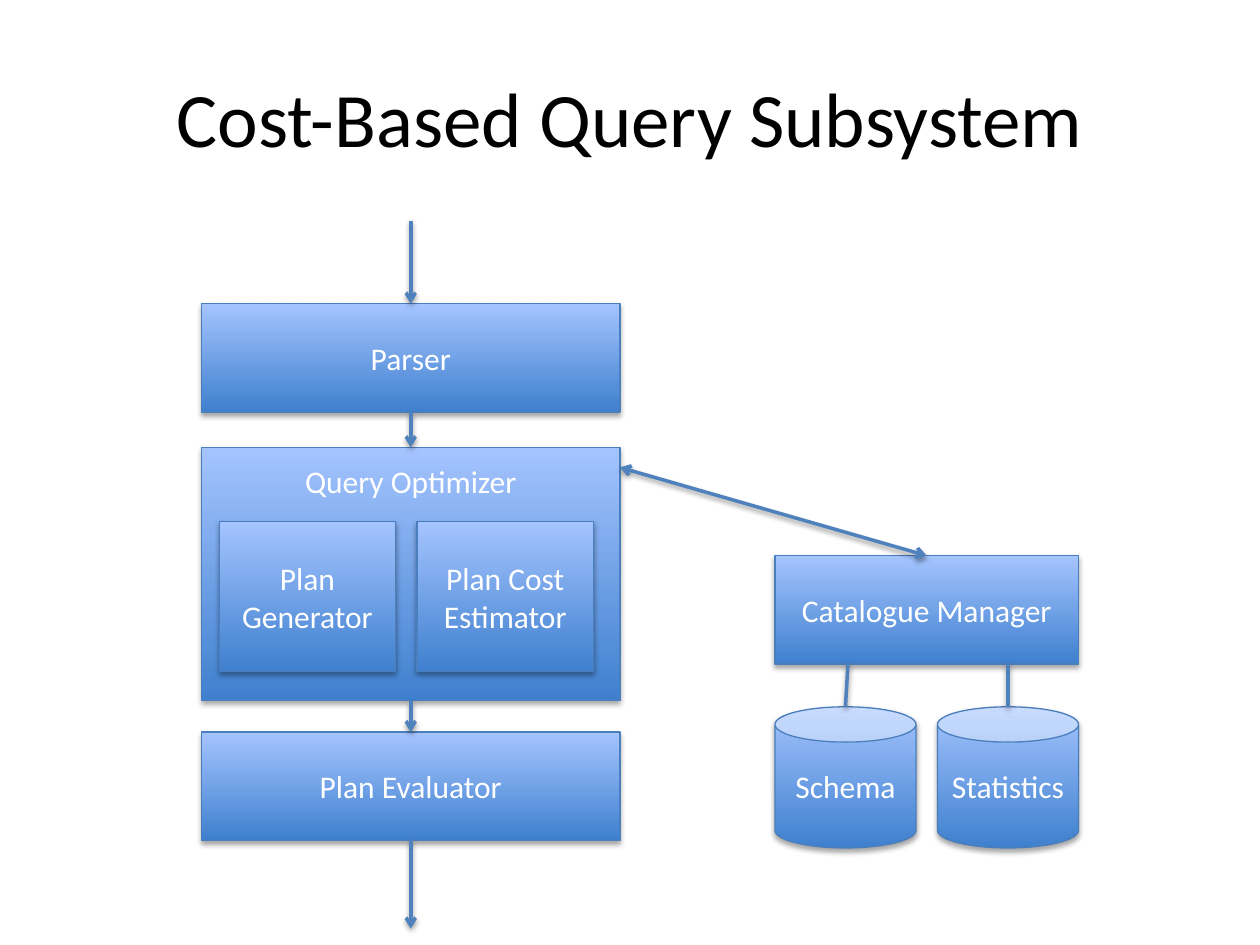
import pptx
import pptx.dml.color
import pptx.enum.shapes
import pptx.enum.text
import pptx.oxml
import pptx.oxml.ns
import pptx.util
from lxml import etree

Inches = pptx.util.Inches
Pt = pptx.util.Pt
MSO = pptx.enum.shapes.MSO_SHAPE
ANCHOR = pptx.enum.text.MSO_ANCHOR
TOP, BOTTOM = 0, 2

THEME = {
    "font": "Calibri",
    "title_size": 44,
    "label_size": 18,
    "title": "000000",
    "label": "FFFFFF",
    "gradient": ("3F80CE", "A4C4FF"),
    "outline": "4B7EBC",
    "arrow": "4F81BD",
    "shadow": "000000",
}

TITLE = "Cost-Based Query Subsystem"
FLOW = [("Parser", 2.41, 0.86), ("Query Optimizer", 3.55, 2.01), ("Plan Evaluator", 5.81, 0.86)]
PLANNERS = ["Plan Generator", "Plan Cost Estimator"]
STORES = ["Schema", "Statistics"]
CATALOGUE = "Catalogue Manager"

FLOW_LEFT, FLOW_WIDTH = 1.6, 3.32
FLOW_START, FLOW_END = 1.75, 7.37
PLANNER_LEFT, PLANNER_TOP, PLANNER_WIDTH, PLANNER_HEIGHT, PLANNER_STEP = 1.74, 4.14, 1.4, 1.19, 1.57
CAT_LEFT, CAT_TOP, CAT_WIDTH, CAT_HEIGHT = 6.15, 4.41, 2.41, 0.86
STORE_TOP, STORE_SIZE = 5.61, 1.12
STORE_STEP = CAT_WIDTH - STORE_SIZE
STORE_LINK_SHIFT = [0.02, 0]
OPTIMIZER_LINK = (4.92, 3.71)

TITLE_FRAME = {"word_wrap": True, "vertical_anchor": ANCHOR.MIDDLE}
LABEL_FRAME = {"word_wrap": True, "vertical_anchor": ANCHOR.MIDDLE}
HEADING_FRAME = {"vertical_anchor": ANCHOR.TOP, "margin_top": Inches(0.12)}


def rgb(value):
    return pptx.dml.color.RGBColor.from_string(value)


def apply(target, values):
    for name, value in values.items():
        setattr(target, name, value)


def add_shadow(s, alpha, distance):
    props = s._element.spPr
    for old in props.findall(pptx.oxml.ns.qn("a:effectLst")):
        props.remove(old)
    effects = etree.SubElement(props, pptx.oxml.ns.qn("a:effectLst"))
    outer = etree.SubElement(effects, pptx.oxml.ns.qn("a:outerShdw"), {
        "blurRad": str(Pt(3.1)), "dist": str(Pt(distance)),
        "dir": "5400000", "rotWithShape": "0"})
    color = etree.SubElement(outer, pptx.oxml.ns.qn("a:srgbClr"), val=THEME["shadow"])
    etree.SubElement(color, pptx.oxml.ns.qn("a:alpha"), val=str(alpha * 1000))


def write(s, text, size, color, frame):
    tf = s.text_frame
    apply(tf, frame)
    p = tf.paragraphs[0]
    p.alignment = pptx.enum.text.PP_ALIGN.CENTER
    r = p.add_run()
    r.text = text
    apply(r.font, {"name": THEME["font"], "size": Pt(size)})
    r.font.color.rgb = rgb(color)


def add_block(shapes, text, left, top, width, height, kind=MSO.RECTANGLE, frame=None):
    s = shapes.add_shape(kind, Inches(left), Inches(top), Inches(width), Inches(height))
    s.fill.gradient()
    s.fill.gradient_angle = 90
    for stop, color in zip(s.fill.gradient_stops, THEME["gradient"]):
        stop.color.rgb = rgb(color)
    s.line.color.rgb = rgb(THEME["outline"])
    s.line.width = Pt(0.75)
    add_shadow(s, 35, 1.8)
    write(s, text, THEME["label_size"], THEME["label"], LABEL_FRAME | (frame or {}))
    return s


def add_link(shapes, start, end, ends=("tailEnd",), begin_at=None, end_at=None):
    s = shapes.add_connector(pptx.enum.shapes.MSO_CONNECTOR.STRAIGHT,
                             *[Inches(v) for v in (*start, *end)])
    if begin_at:
        s.begin_connect(*begin_at)
    if end_at:
        s.end_connect(*end_at)
    s.line.color.rgb = rgb(THEME["arrow"])
    s.line.width = Pt(2)
    for name in ends:
        etree.SubElement(s.line._get_or_add_ln(), pptx.oxml.ns.qn("a:" + name), type="arrow")
    add_shadow(s, 38, 1.6)


def main():
    prs = pptx.Presentation()
    apply(prs, {"slide_width": Inches(10), "slide_height": Inches(7.5)})
    shapes = prs.slides.add_slide(prs.slide_layouts[6]).shapes

    title = shapes.add_textbox(Inches(0.5), Inches(0.3), Inches(9), Inches(1.25))
    write(title, TITLE, THEME["title_size"], THEME["title"], TITLE_FRAME)

    steps = []
    for text, top, height in FLOW:
        frame = HEADING_FRAME if text == "Query Optimizer" else None
        steps.append(add_block(shapes, text, FLOW_LEFT, top, FLOW_WIDTH, height, frame=frame))
    for i, text in enumerate(PLANNERS):
        add_block(shapes, text, PLANNER_LEFT + i * PLANNER_STEP, PLANNER_TOP,
                  PLANNER_WIDTH, PLANNER_HEIGHT)
    for i, text in enumerate(STORES):
        add_block(shapes, text, CAT_LEFT + i * STORE_STEP, STORE_TOP,
                  STORE_SIZE, STORE_SIZE, MSO.CAN)
    catalogue = add_block(shapes, CATALOGUE, CAT_LEFT, CAT_TOP, CAT_WIDTH, CAT_HEIGHT)

    middle = FLOW_LEFT + FLOW_WIDTH / 2
    starts = [FLOW_START] + [top + height for _, top, height in FLOW]
    stops = [top for _, top, _ in FLOW] + [FLOW_END]
    for start, stop, above, below in zip(starts, stops, [None] + steps, steps + [None]):
        add_link(shapes, (middle, start), (middle, stop),
                 begin_at=above and (above, BOTTOM), end_at=below and (below, TOP))

    add_link(shapes, OPTIMIZER_LINK, (CAT_LEFT + CAT_WIDTH / 2, CAT_TOP),
             ends=("headEnd", "tailEnd"), end_at=(catalogue, TOP))
    for i, shift in enumerate(STORE_LINK_SHIFT):
        x = CAT_LEFT + i * STORE_STEP + STORE_SIZE / 2
        add_link(shapes, (x, STORE_TOP), (x + shift, CAT_TOP + CAT_HEIGHT), ends=())

    prs.save("out.pptx")


if __name__ == "__main__":
    main()
